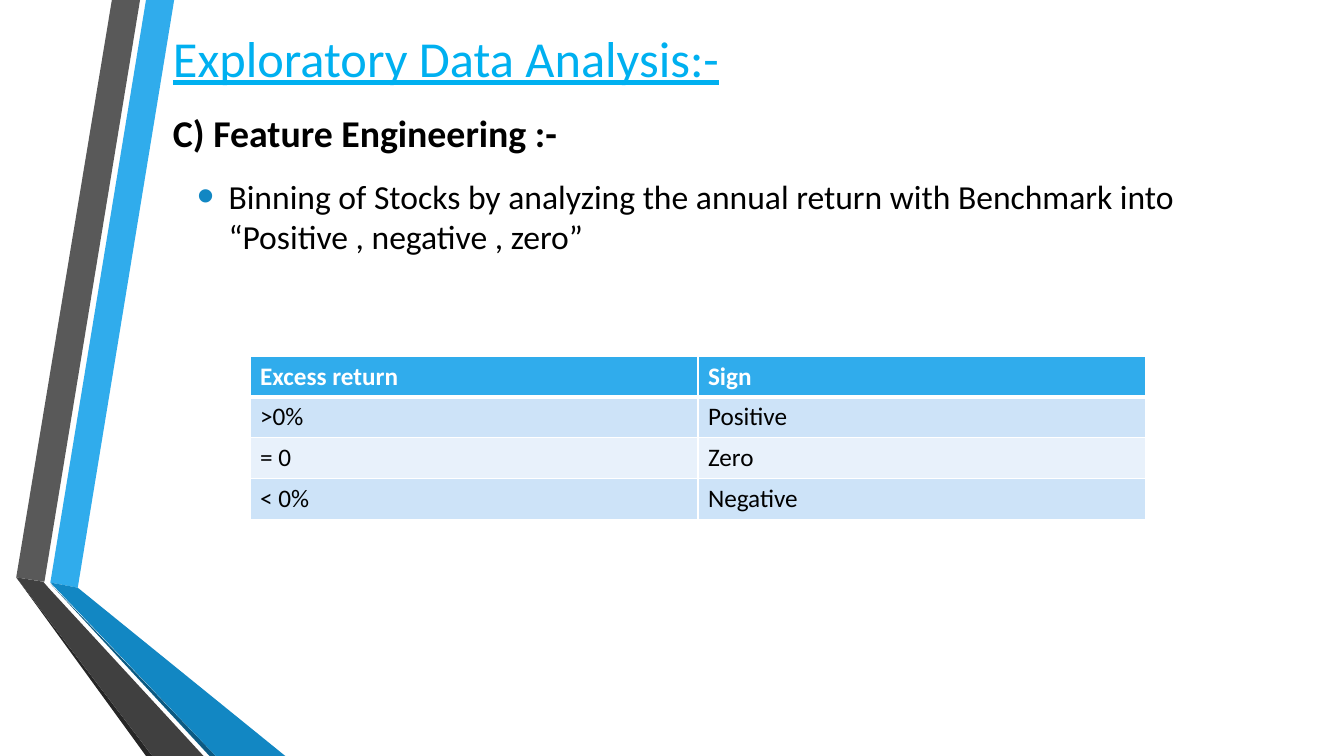
from lxml import etree
from pptx import Presentation
from pptx.dml.color import RGBColor
from pptx.enum.text import MSO_ANCHOR
from pptx.oxml.ns import qn
from pptx.util import Cm, Pt

MIDDLE = MSO_ANCHOR.MIDDLE
FONT = "Calibri"
COLORS = {
    "white": "FFFFFF", "black": "000000", "title": "00B0F0",
    "sky": "30ACEC", "blue": "1287C3", "navy": "0C5A82",
    "gray": "595959", "charcoal": "404040", "soot": "262626",
    "band": "CDE3F8", "pale": "E8F1FB",
}
BOTTOM = 19.05
RIBBONS = [
    ("sky", [(1.27, 14.68), (1.96, 14.81), (4.39, 0), (3.68, 0)]),
    ("gray", [(3.53, 0), (2.82, 0), (0.41, 14.55), (1.12, 14.66)]),
    ("soot", [(0.41, 14.55), (3.68, BOTTOM), (3.84, BOTTOM)]),
    ("navy", [(1.27, 14.71), (5.28, BOTTOM), (5.44, BOTTOM)]),
    ("blue", [(1.27, 14.68), (5.44, BOTTOM), (7.19, BOTTOM), (1.96, 14.81)]),
    ("charcoal", [(5.13, BOTTOM), (1.22, 14.81), (1.09, 14.66),
                  (0.41, 14.55), (3.84, BOTTOM)]),
]
RETURNS = [("Excess return", "Sign"), (">0%", "Positive"),
           ("= 0", "Zero"), ("< 0%", "Negative")]


def rgb(name):
    return RGBColor.from_string(COLORS[name])


class SlideBuilder:
    """Draws styled elements on the current slide."""

    def __init__(self, page):
        self.page = page

    def style(self, span, size, color, bold=False, underline=False):
        font = span.font
        font.name, font.size = FONT, Pt(size)
        font.bold, font.underline = bold, underline
        font.color.rgb = rgb(color)

    def ribbon(self, color, points):
        corners = [(Cm(x), Cm(y)) for x, y in points]
        builder = self.page.shapes.build_freeform(*corners[0])
        builder.add_line_segments(corners[1:], close=True)
        shape = builder.convert_to_shape()
        shape.shadow.inherit = False
        shape.fill.solid()
        shape.fill.fore_color.rgb = rgb(color)
        shape.line.fill.background()

    def text(self, left, top, width, height, words):
        box = self.page.shapes.add_textbox(Cm(left), Cm(top), Cm(width), Cm(height))
        frame = box.text_frame
        frame.word_wrap = True
        frame.vertical_anchor = MIDDLE
        para = frame.paragraphs[0]
        para.text = words
        return para

    def heading(self, left, top, width, height, title, subtitle):
        para = self.text(left, top, width, height, f"{title}\v{subtitle}")
        para.line_spacing = 1.5
        self.style(para.runs[0], 36, "title", underline=True)
        self.style(para.runs[1], 27, "black", bold=True)

    def bullet(self, left, top, width, height, words):
        para = self.text(left, top, width, height, words)
        para.space_before, para.space_after = Pt(4.8), Pt(6)
        self.style(para.runs[0], 24, "black")
        props = para._p.get_or_add_pPr()
        props.set("marL", str(Cm(0.79)))
        props.set("indent", str(-Cm(0.79)))
        color = etree.SubElement(props, qn("a:buClr"))
        etree.SubElement(color, qn("a:srgbClr"), val=COLORS["blue"])
        etree.SubElement(props, qn("a:buSzPct"), val="145000")
        etree.SubElement(props, qn("a:buFont"), typeface="Arial")
        etree.SubElement(props, qn("a:buChar"), char="•")

    def borders(self, cell, widths):
        props = cell._tc.get_or_add_tcPr()
        for place, (side, width) in enumerate(widths.items()):
            line = etree.Element(qn(f"a:ln{side}"), w=str(Pt(width)))
            fill = etree.SubElement(line, qn("a:solidFill"))
            etree.SubElement(fill, qn("a:srgbClr"), val=COLORS["white"])
            props.insert(place, line)

    def table(self, left, top, width, height, rows):
        table = self.page.shapes.add_table(
            len(rows), len(rows[0]), Cm(left), Cm(top), Cm(width), Cm(height)).table
        for r, row in enumerate(rows):
            header = r == 0
            fill = "sky" if header else ("pale", "band")[r % 2]
            widths = {"L": 1, "R": 1, "T": 3 if r == 1 else 1, "B": 3 if header else 1}
            for c, words in enumerate(row):
                cell = table.cell(r, c)
                cell.text_frame.text = words
                self.style(cell.text_frame.paragraphs[0].runs[0], 18,
                           "white" if header else "black", bold=header)
                cell.fill.solid()
                cell.fill.fore_color.rgb = rgb(fill)
                self.borders(cell, widths)


def main():
    deck = Presentation()
    deck.slide_width, deck.slide_height = Cm(33.87), Cm(BOTTOM)
    slide = SlideBuilder(deck.slides.add_slide(deck.slide_layouts[6]))
    for color, points in RIBBONS:
        slide.ribbon(color, points)
    slide.heading(4.11, 0.51, 27.84, 2.82,
                  "Exploratory Data Analysis:-", "C) Feature Engineering :-")
    slide.bullet(4.72, 3.71, 27.84, 3.48,
                 "Binning of Stocks by analyzing the annual return with Benchmark "
                 "into “Positive , negative , zero”")
    slide.table(6.3, 8.97, 22.58, 4.12, RETURNS)
    deck.save("out.pptx")


if __name__ == "__main__":
    main()
